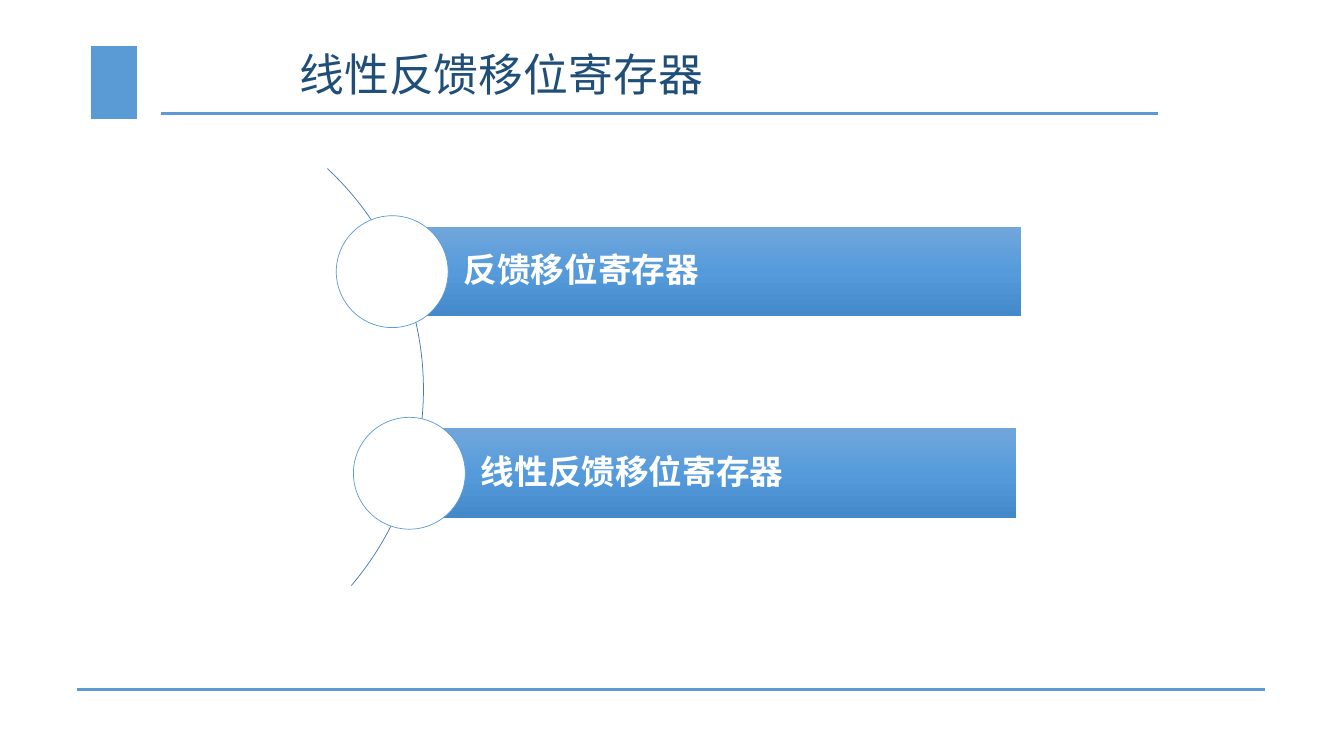
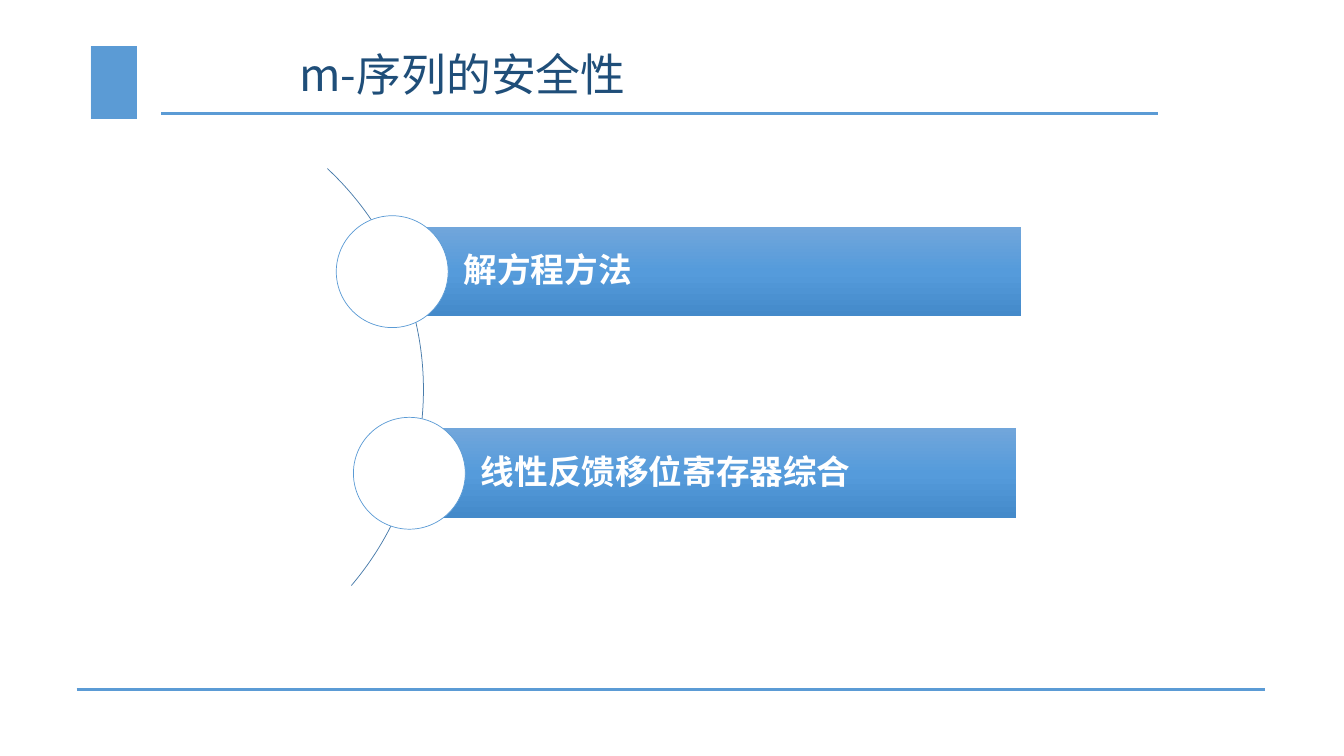
from copy import deepcopy

from lxml.etree import SubElement
from pptx import Presentation
from pptx.dml.color import RGBColor
from pptx.enum.dml import MSO_PATTERN
from pptx.enum.shapes import MSO_CONNECTOR, MSO_SHAPE
from pptx.enum.text import MSO_ANCHOR, PP_ALIGN
from pptx.oxml.ns import qn
from pptx.util import Inches, Pt

# Content: title and the topics on the arc
SLIDES = [
    ("线性反馈移位寄存器", ["反馈移位寄存器", "线性反馈移位寄存器"]),
    ("m-序列的安全性", ["解方程方法", "线性反馈移位寄存器综合"]),
]

# Shared look
COLORS = {"accent": "5B9BD5", "title": "1F4E79", "arc": "497CAB", "white": "FFFFFF"}
BAR_GRADIENT = [(0, "71A6DB"), (0.5, "559BDB"), (1, "448ACA")]
EAST_ASIAN_FONT = "Noto Sans CJK SC"
TITLE_FONT = {"name": EAST_ASIAN_FONT, "size": Pt(32), "bold": False}
BAR_FONT = {"name": "Times New Roman", "size": Pt(24), "bold": True}
TITLE_FRAME = {"vertical_anchor": MSO_ANCHOR.MIDDLE, "word_wrap": True}
BAR_FRAME = {
    **TITLE_FRAME,
    "margin_left": Inches(0.71),
    "margin_right": Inches(0.07),
    "margin_top": Inches(0.07),
    "margin_bottom": Inches(0.07),
}
TITLE_BOX = {"left": 2.87, "top": 0.4, "width": 7.41, "height": 0.73}
RULES = [(1.6, 11.49, 1.13), (0.76, 12.55, 6.84)]  # start, end, height on slide

# Arc diagram: each bar starts at the centre of its circle
ARC_BOX = (-1.78, 0.87, 5.98, 5.99)
ARC_ANGLES = (312.94, 40.46)
BAR_SPANS = [(3.89, 10.13), (4.06, 10.08)]
FIRST_CENTER, CENTER_STEP = 2.695, 2.0
BAR_HEIGHT, CIRCLE_SIZE = 0.89, 1.11


def color(name):
    return RGBColor.from_string(COLORS[name])


def set_attributes(target, values):
    for name, value in values.items():
        setattr(target, name, value)


def add_shape(slide, kind, box, fill=None, line=None):
    shape = slide.shapes.add_shape(kind, *(Inches(value) for value in box))
    shape.shadow.inherit = False
    if fill:
        shape.fill.solid()
        shape.fill.fore_color.rgb = color(fill)
    else:
        shape.fill.background()
    if line:
        shape.line.color.rgb = color(line)
        shape.line.width = Pt(0.5)
    else:
        shape.line.fill.background()
    return shape


def write_text(shape, text, frame_format, font_format, font_color):
    frame = shape.text_frame
    set_attributes(frame, frame_format)
    paragraph = frame.paragraphs[0]
    paragraph.alignment = PP_ALIGN.LEFT
    paragraph.line_spacing = 0.9
    run = paragraph.add_run()
    run.text = text
    set_attributes(run.font, font_format)
    run.font.color.rgb = color(font_color)
    latin = run.font._element.find(qn("a:latin"))
    east_asian = deepcopy(latin)
    east_asian.tag = qn("a:ea")
    east_asian.set("typeface", EAST_ASIAN_FONT)
    latin.addnext(east_asian)


def fill_gradient(shape):
    shape.fill.gradient()
    shape.fill.gradient_angle = 270
    stop_list = shape.element.spPr.find(qn("a:gradFill")).find(qn("a:gsLst"))
    stop_list.insert(1, deepcopy(stop_list[0]))
    for stop, (position, value) in zip(shape.fill.gradient_stops, BAR_GRADIENT):
        stop.position = position
        stop.color.rgb = RGBColor.from_string(value)


def decorate_layout(layout, slide):
    """Draw the shared marks and move them to the layout."""
    block = add_shape(slide, MSO_SHAPE.RECTANGLE, (0.9, 0.45, 0.46, 0.72))
    block.fill.patterned()
    block.fill.pattern = MSO_PATTERN.DARK_HORIZONTAL
    block.fill.fore_color.rgb = color("accent")
    block.fill.back_color.rgb = color("white")
    marks = [block]
    for start, end, height in RULES:
        rule = slide.shapes.add_connector(
            MSO_CONNECTOR.STRAIGHT,
            Inches(start), Inches(height), Inches(end), Inches(height),
        )
        rule.line.color.rgb = color("accent")
        rule.line.width = Pt(2.25)
        SubElement(rule.element.spPr, qn("a:effectLst"))
        marks.append(rule)
    for mark in marks:
        layout.shapes.element.append(mark.element)


def add_arc_diagram(slide, topics):
    arc = add_shape(slide, MSO_SHAPE.BLOCK_ARC, ARC_BOX, line="arc")
    for index, angle in enumerate(ARC_ANGLES):
        arc.adjustments[index] = angle * 0.6  # 60000ths of a degree over 100000
    arc.adjustments[2] = 0
    for index, (topic, (left, right)) in enumerate(zip(topics, BAR_SPANS)):
        center = FIRST_CENTER + index * CENTER_STEP
        bar_box = (left, center - BAR_HEIGHT / 2, right - left, BAR_HEIGHT)
        bar = add_shape(slide, MSO_SHAPE.RECTANGLE, bar_box)
        fill_gradient(bar)
        write_text(bar, topic, BAR_FRAME, BAR_FONT, "white")
        radius = CIRCLE_SIZE / 2
        circle_box = (left - radius, center - radius, CIRCLE_SIZE, CIRCLE_SIZE)
        add_shape(slide, MSO_SHAPE.OVAL, circle_box, "white", "accent")


def main():
    presentation = Presentation()
    presentation.slide_width = Inches(13.33)
    presentation.slide_height = Inches(7.5)
    layout = presentation.slide_layouts.get_by_name("Title Only")
    title_box = {name: Inches(value) for name, value in TITLE_BOX.items()}
    set_attributes(layout.placeholders[0], title_box)
    for index, (title, topics) in enumerate(SLIDES):
        slide = presentation.slides.add_slide(layout)
        if index == 0:
            decorate_layout(layout, slide)
        write_text(slide.shapes.title, title, TITLE_FRAME, TITLE_FONT, "title")
        add_arc_diagram(slide, topics)
    presentation.save("out.pptx")


if __name__ == "__main__":
    main()
